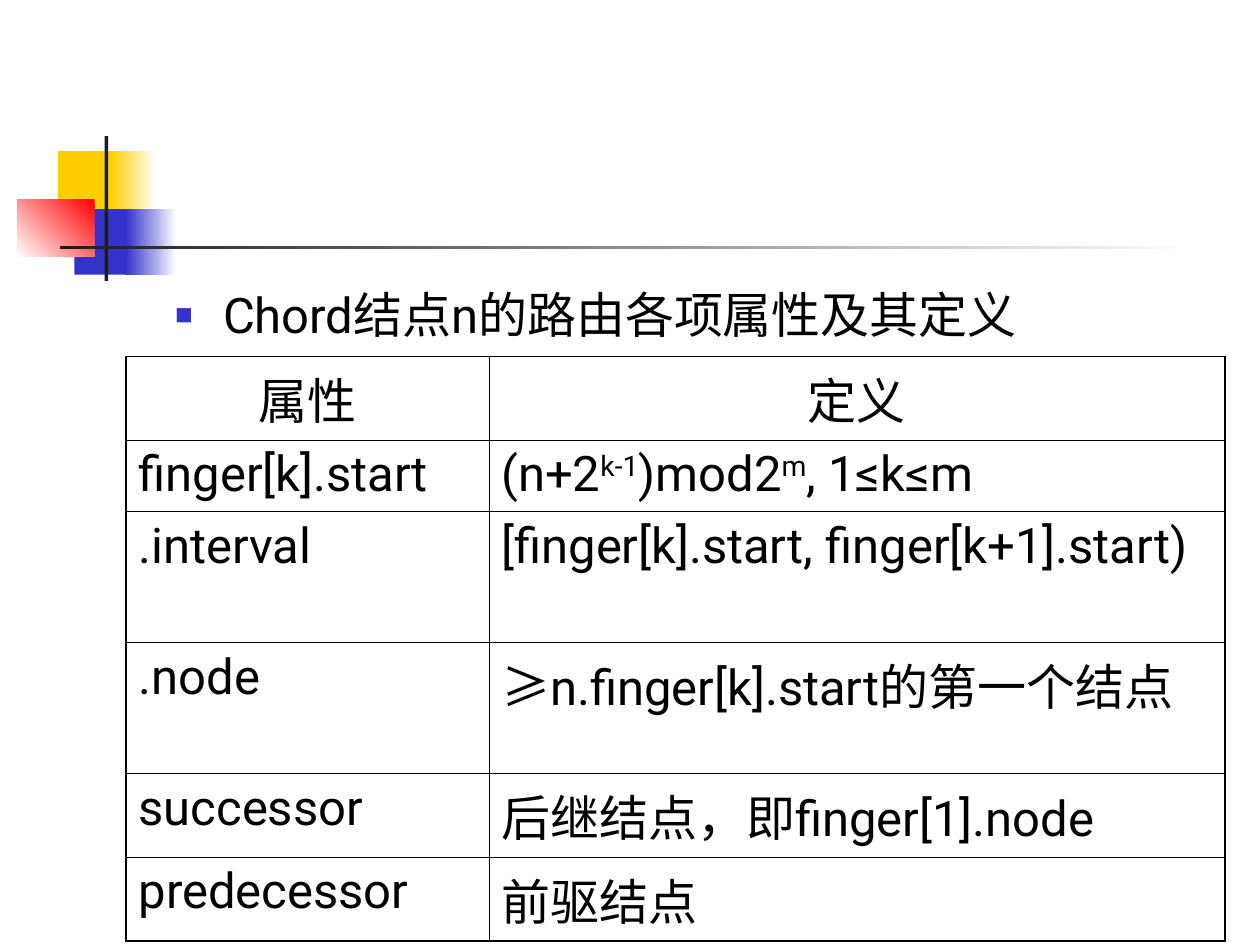
import pptx
import pptx.util
import pptx.dml.color
import pptx.enum.shapes
import pptx.enum.text
import pptx.oxml
import pptx.oxml.ns
from pptx.util import Inches

LATIN, CJK = "Roboto", "Noto Sans CJK SC"
BLACK, WHITE, BLUE, YELLOW, RED, CHARCOAL = (
    "000000", "FFFFFF", "3333CC", "FFCF01", "FF0000", "1C1C1C")
OUTER, INNER = 1.08, 0.45

DEFINITIONS = [
    ("属性", ["定义"]),
    ("finger[k].start", ["(n+2", "^k-1", ")mod2", "^m", ", 1≤k≤m"]),
    (".interval", ["[finger[k].start, finger[k+1].start)"]),
    (".node", ["≥", "n.finger[k].start的第一个结点"]),
    ("successor", ["后继结点，即finger[1].node"]),
    ("predecessor", ["前驱结点"]),
]


def color(value):
    return pptx.dml.color.RGBColor.from_string(value)


def add_element(parent, markup):
    head, rest = markup.split(" ", 1)
    namespace = pptx.oxml.ns.nsdecls("a")
    parent.append(pptx.oxml.parse_xml(f"{head} {namespace} {rest}"))


def style_paragraph(paragraph):
    paragraph.space_before = pptx.util.Pt(0)
    font = paragraph.font
    font.size = pptx.util.Pt(28)
    font.name = LATIN
    font.color.rgb = color(BLACK)
    add_element(font._element, f'<a:ea typeface="{CJK}"/>')


def write_runs(paragraph, pieces):
    for piece in pieces:
        run = paragraph.add_run()
        run.text = piece.lstrip("^")
        if piece.startswith("^"):
            run._r.get_or_add_rPr().set("baseline", "30000")
        if piece == "≥":
            run.font.name = CJK


def add_block(slide, left, top, width, height, colors, angle=180):
    block = slide.shapes.add_shape(
        pptx.enum.shapes.MSO_SHAPE.RECTANGLE,
        Inches(left), Inches(top), Inches(width), Inches(height))
    block.shadow.inherit = False
    block.line.fill.background()
    if len(colors) == 1:
        block.fill.solid()
        block.fill.fore_color.rgb = color(colors[0])
        return
    block.fill.gradient()
    block.fill.gradient_angle = angle
    for stop, shade in zip(block.fill.gradient_stops, colors):
        stop.color.rgb = color(shade)


def add_ornament(slide, left, top):
    add_block(slide, left + 0.32, top + 0.12, 0.48, 0.52, [YELLOW])
    add_block(slide, left + 0.74, top + 0.12, 0.36, 0.52, [WHITE, YELLOW])
    add_block(slide, left + 0.45, top + 0.58, 0.46, 0.52, [BLUE])
    add_block(slide, left + 0.86, top + 0.58, 0.4, 0.52, [WHITE, BLUE])
    add_block(slide, left, top + 0.5, 0.61, 0.46, [RED, WHITE], 225)
    add_block(slide, left + 0.69, top, 0.03, 1.15, [CHARCOAL])
    add_block(slide, left + 0.34, top + 0.87, 9, 0.03, [WHITE, CHARCOAL])


def fill_body(body, left, top, width, height):
    body.left, body.top = Inches(left), Inches(top)
    body.width, body.height = Inches(width), Inches(height)
    heading = body.text_frame.paragraphs[0]
    heading.text = "Chord结点n的路由各项属性及其定义"
    properties = heading._p.get_or_add_pPr()
    properties.set("marL", str(Inches(0.38)))
    properties.set("indent", str(Inches(-0.38)))
    add_element(properties, f'<a:buClr ><a:srgbClr val="{BLUE}"/></a:buClr>')
    add_element(properties, '<a:buSzPct val="60000"/>')
    add_element(properties, '<a:buChar char="■"/>')
    style_paragraph(heading)


def set_borders(cell, widths):
    properties = cell._tc.get_or_add_tcPr()
    for side, width in zip("LRTB", widths):
        add_element(properties,
                    f'<a:ln{side} w="{pptx.util.Pt(width)}"><a:solidFill>'
                    f'<a:srgbClr val="{BLACK}"/></a:solidFill></a:ln{side}>')
    cell.fill.background()


def add_definitions(slide, left, top, column_widths, row_heights):
    table = slide.shapes.add_table(
        len(row_heights), len(column_widths), Inches(left), Inches(top),
        Inches(sum(column_widths)), Inches(sum(row_heights))).table
    table.first_row = table.horz_banding = False
    for column, width in zip(table.columns, column_widths):
        column.width = Inches(width)
    last_row, last_column = len(row_heights) - 1, len(column_widths) - 1
    for r, (attribute, definition) in enumerate(DEFINITIONS):
        table.rows[r].height = Inches(row_heights[r])
        for c, pieces in enumerate([[attribute], definition]):
            cell = table.cell(r, c)
            edges = (c == 0, c == last_column, r == 0, r == last_row)
            set_borders(cell, [OUTER if edge else INNER for edge in edges])
            paragraph = cell.text_frame.paragraphs[0]
            write_runs(paragraph, pieces)
            if r == 0:
                paragraph.alignment = pptx.enum.text.PP_ALIGN.CENTER
            style_paragraph(paragraph)


def main():
    deck = pptx.Presentation()
    deck.slide_width, deck.slide_height = Inches(10), Inches(7.5)
    slide = deck.slides.add_slide(deck.slide_layouts[1])
    title = slide.shapes.title._element
    title.getparent().remove(title)
    add_ornament(slide, 0.14, 1.08)
    fill_body(slide.placeholders[1], 1.29, 2.21, 8.54, 4.5)
    add_definitions(slide, 1, 2.83, [2.88, 5.84],
                    [0.57, 0.57, 1.04, 1.04, 0.57, 0.57])
    deck.save("out.pptx")


if __name__ == "__main__":
    main()
